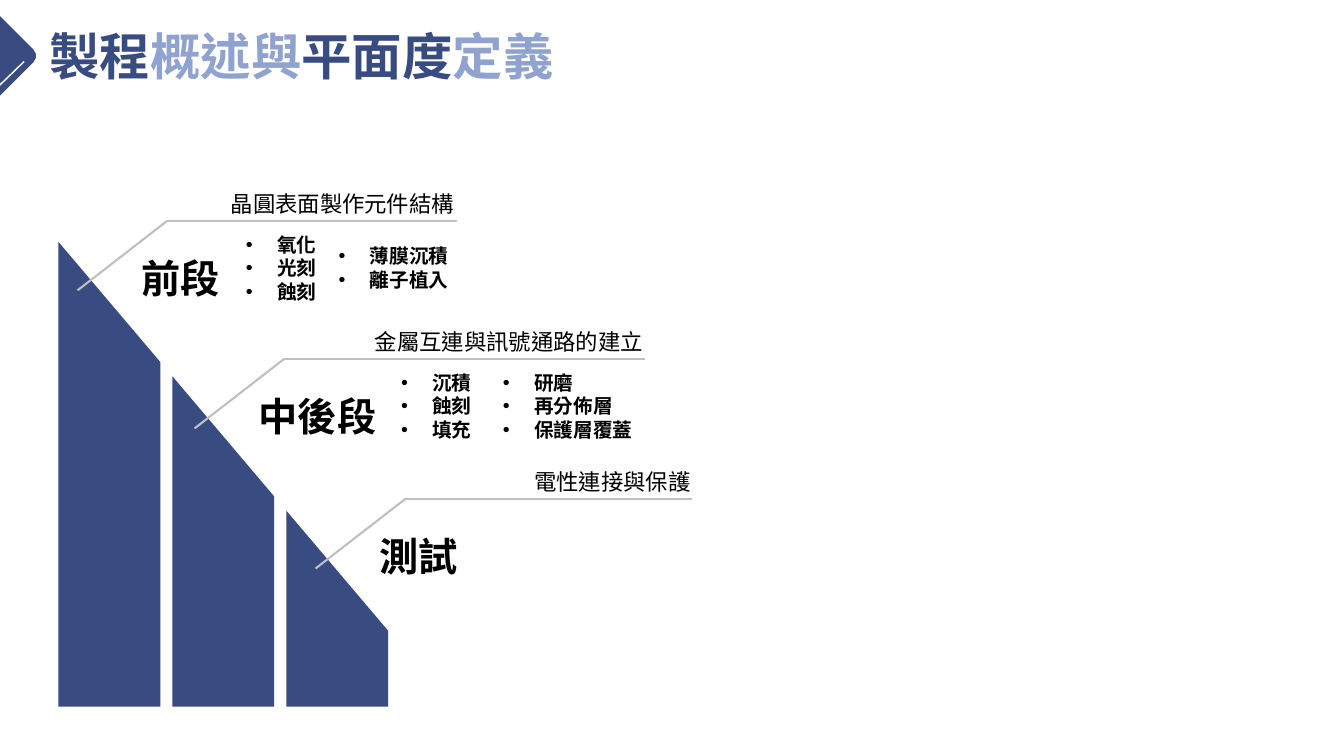
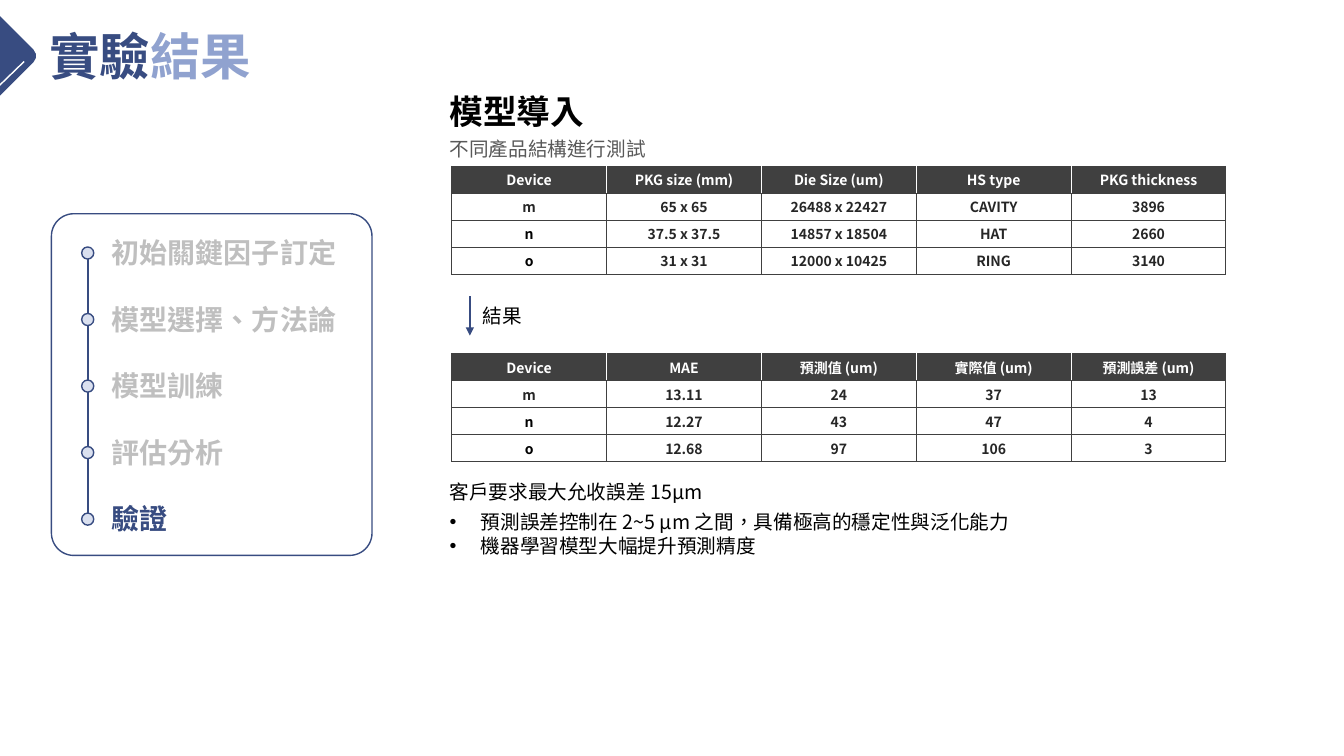
"""Build a two-slide deck on process stages and experiment results."""
from lxml.etree import SubElement
from pptx import Presentation
from pptx.dml.color import RGBColor
from pptx.enum.shapes import MSO_CONNECTOR, MSO_SHAPE
from pptx.enum.text import MSO_ANCHOR, MSO_AUTO_SIZE, PP_ALIGN
from pptx.oxml.ns import qn
from pptx.util import Inches, Pt

FONT = "Noto Sans CJK SC"
COLORS = {
    "navy": "384C81",
    "periwinkle": "90A2CF",
    "pale": "DAE0EF",
    "white": "FFFFFF",
    "black": "000000",
    "ink": "262626",
    "header": "404040",
    "gray": "595959",
    "silver": "BFBFBF",
}
FORMATS = {
    "title": {"size": Pt(36), "bold": True},
    "stage": {"size": Pt(28), "bold": True},
    "heading": {"size": Pt(24), "bold": True},
    "step": {"size": Pt(20), "bold": True},
    "caption": {"size": Pt(16), "bold": False},
    "body": {"size": Pt(14), "bold": False},
    "item": {"size": Pt(14), "bold": True},
    "cell": {"size": Pt(10), "bold": True},
}
FRAME = {
    "word_wrap": False,
    "auto_size": MSO_AUTO_SIZE.SHAPE_TO_FIT_TEXT,
    "vertical_anchor": MSO_ANCHOR.TOP,
}
CELL = {
    "vertical_anchor": MSO_ANCHOR.MIDDLE,
    "margin_top": Inches(0.03),
    "margin_bottom": Inches(0.03),
    "margin_left": Inches(0.05),
    "margin_right": Inches(0.05),
}


def apply(target, values):
    """Set every attribute in values on target."""
    for name, value in values.items():
        setattr(target, name, value)


def rgb(color):
    """Return the named colour."""
    return RGBColor.from_string(COLORS[color])


def add_span(para, text, style, color):
    """Add one formatted run to a paragraph."""
    span = para.add_run()
    span.text = text
    apply(span.font, {"name": FONT, **FORMATS[style]})
    span.font.color.rgb = rgb(color)
    properties = span.font._element
    properties.set("lang", "zh-TW")
    SubElement(properties, qn("a:ea"), typeface=FONT)


def add_bullet(para):
    """Give a paragraph a round bullet with a hanging indent."""
    properties = para._p.get_or_add_pPr()
    properties.set("marL", str(Inches(0.31)))
    properties.set("indent", str(Inches(-0.31)))
    SubElement(properties, qn("a:buFont"), typeface="Arial")
    SubElement(properties, qn("a:buChar"), char="•")


def add_text(page, left, top, width, height, lines, style, color="black",
             align=PP_ALIGN.LEFT, bullets=False):
    """Add a text box with one paragraph for each line."""
    box = page.shapes.add_textbox(Inches(left), Inches(top), Inches(width), Inches(height))
    frame = box.text_frame
    apply(frame, FRAME)
    for index, line in enumerate(lines):
        para = frame.add_paragraph() if index else frame.paragraphs[0]
        para.alignment = align
        if bullets:
            add_bullet(para)
        add_span(para, line, style, color)


def paint(shape, fill=None, line=None):
    """Set the fill and outline of a shape and drop its shadow."""
    shape.shadow.inherit = False
    if fill:
        shape.fill.solid()
        shape.fill.fore_color.rgb = rgb(fill)
    else:
        shape.fill.background()
    if line:
        shape.line.color.rgb = rgb(line)
        shape.line.width = Pt(1)
    else:
        shape.line.fill.background()


def add_shape(page, kind, left, top, width, height, fill=None, line=None):
    """Add a painted preset shape."""
    shape = page.shapes.add_shape(
        kind, Inches(left), Inches(top), Inches(width), Inches(height))
    paint(shape, fill, line)
    return shape


def add_line(page, start, end, color, width=1.5, arrow=False):
    """Add a straight line, with an arrowhead at its end if asked."""
    points = [Inches(value) for value in (*start, *end)]
    line = page.shapes.add_connector(MSO_CONNECTOR.STRAIGHT, *points)
    line.line.color.rgb = rgb(color)
    line.line.width = Pt(width)
    if arrow:
        SubElement(line.line._get_or_add_ln(), qn("a:tailEnd"), type="triangle")
    SubElement(line._element.spPr, qn("a:effectLst"))


def add_page(deck, width, title):
    """Add a slide with the corner mark and a two-tone title."""
    page = deck.slides.add_slide(deck.slide_layouts[5])
    box = page.shapes.title
    apply(box, {"left": Inches(0.39), "top": Inches(0.2),
                "width": Inches(width), "height": Inches(0.71)})
    apply(box.text_frame, FRAME)
    para = box.text_frame.paragraphs[0]
    para.alignment = PP_ALIGN.LEFT
    for index, text in enumerate(title):
        add_span(para, text, "title", "periwinkle" if index % 2 else "navy")
    mark = add_shape(page, MSO_SHAPE.ROUNDED_RECTANGLE, -0.56, 0.16, 0.79, 0.79, "navy")
    mark.rotation = 45
    mark.adjustments[0] = 0.11
    add_line(page, (0.24, 0.61), (-0.07, 0.91), "white", 1)
    return page


def add_bars(page, left, top, bottom, count=3):
    """Draw bars whose tops follow one falling slope."""
    width, pitch, slope = 1.01, 1.13, 1.18
    for index in range(count):
        start = index * pitch
        end = start + width
        outline = [(left + end, top + end * slope), (left + end, bottom), (left + start, bottom)]
        builder = page.shapes.build_freeform(
            Inches(left + start), Inches(top + start * slope))
        builder.add_line_segments([(Inches(x), Inches(y)) for x, y in outline])
        paint(builder.convert_to_shape(), "navy")


def add_stage(page, left, top, width, name, name_width, caption, caption_width, lists):
    """Draw a stage callout from the elbow of its leader line."""
    elbow, end = (left, top), (left + width, top)
    add_line(page, (left - 0.89, top + 0.69), elbow, "silver")
    add_line(page, elbow, end, "silver")
    add_text(page, end[0] + 0.11 - caption_width, top - 0.35, caption_width, 0.37,
             [caption], "caption")
    add_text(page, left - 0.36, top + 0.28, name_width, 0.57, [name], "stage",
             align=PP_ALIGN.CENTER)
    for offset, list_width, items in lists:
        height = 0.1 + 0.235 * len(items)
        add_text(page, left + offset, top + 0.47 - height / 2, list_width, height,
                 items, "item", bullets=True)


def add_steps(page, left, top, width, height, steps):
    """Draw a framed timeline with its last step highlighted."""
    pitch, dot = 0.66, 0.12
    center, first = left + 0.36, top + 0.39
    add_line(page, (center, first), (center, first + pitch * (len(steps) - 1)), "navy")
    for index, (text, text_width) in enumerate(steps):
        middle = first + index * pitch
        add_shape(page, MSO_SHAPE.FLOWCHART_CONNECTOR, center - dot / 2, middle - dot / 2,
                  dot, dot, "pale", "navy")
        color = "navy" if index == len(steps) - 1 else "silver"
        add_text(page, left + 0.5, middle - 0.22, text_width, 0.44, [text], "step", color)
    frame = add_shape(page, MSO_SHAPE.ROUNDED_RECTANGLE, left, top, width, height, line="navy")
    frame.adjustments[0] = 0.07


def add_borders(cell, colors):
    """Put left, right, top and bottom borders on a cell."""
    properties = cell._tc.get_or_add_tcPr()
    for index, (side, color) in enumerate(zip("LRTB", colors)):
        edge = SubElement(properties, qn(f"a:ln{side}"), w=str(Pt(0.75)))
        fill = SubElement(edge, qn("a:solidFill"))
        SubElement(fill, qn("a:srgbClr"), val=COLORS[color])
        properties.insert(index, edge)


def add_grid(page, left, top, width, height, rows):
    """Add a table with a dark header row."""
    last = len(rows[0]) - 1
    table = page.shapes.add_table(len(rows), last + 1, Inches(left), Inches(top),
                                  Inches(width), Inches(height)).table
    apply(table, {"first_row": False, "horz_banding": False})
    for row, values in enumerate(rows):
        for column, value in enumerate(values):
            cell = table.cell(row, column)
            apply(cell, CELL)
            color, sides = "ink", ["header"] * 4
            if row == 0:
                color = "white"
                cell.fill.solid()
                cell.fill.fore_color.rgb = rgb("header")
                sides[0] = "white" if column else "header"
                sides[1] = "white" if column < last else "header"
            else:
                cell.fill.background()
                if row > 1 and column == 0:
                    color = "black"
            add_borders(cell, sides)
            para = cell.text_frame.paragraphs[0]
            para.alignment = PP_ALIGN.CENTER
            add_span(para, value, "cell", color)


def build_process(deck):
    """Build the slide on process stages."""
    page = add_page(deck, 5.25, ["製程", "概述與", "平面度", "定義"])
    add_bars(page, 0.58, 2.4, 7.01)
    add_stage(page, 1.66, 2.19, 2.87, "前段", 0.99, "晶圓表面製作元件結構", 2.45, [
        (0.68, 0.91, ["氧化", "光刻", "蝕刻"]),
        (1.6, 1.3, ["薄膜沉積", "離子植入"]),
    ])
    add_stage(page, 2.82, 3.56, 3.58, "中後段", 1.38, "金屬互連與訊號通路的建立", 2.89, [
        (1.06, 0.91, ["沉積", "蝕刻", "填充"]),
        (2.07, 1.5, ["研磨", "再分佈層", "保護層覆蓋"]),
    ])
    add_stage(page, 4.02, 4.95, 2.84, "測試", 0.99, "電性連接與保護", 1.77, [])


def build_results(deck):
    """Build the slide on experiment results."""
    page = add_page(deck, 2.22, ["實驗", "結果"])
    add_steps(page, 0.51, 2.12, 3.18, 3.39, [
        ("初始關鍵因子訂定", 2.45),
        ("模型選擇、方法論", 2.45),
        ("模型訓練", 1.32),
        ("評估分析", 1.32),
        ("驗證", 0.76),
    ])
    left = 4.36
    add_text(page, left, 0.85, 1.55, 0.5, ["模型導入"], "heading")
    add_text(page, left, 1.31, 2.17, 0.34, ["不同產品結構進行測試"], "body", "gray")
    add_grid(page, 4.48, 1.65, 7.68, 1.07, [
        ["Device", "PKG size (mm)", "Die Size (um)", "HS type", "PKG thickness"],
        ["m", "65 x 65", "26488 x 22427", "CAVITY", "3896"],
        ["n", "37.5 x 37.5", "14857 x 18504", "HAT", "2660"],
        ["o", "31 x 31", "12000 x 10425", "RING", "3140"],
    ])
    add_line(page, (4.66, 2.94), (4.66, 3.33), "navy", arrow=True)
    add_text(page, 4.69, 2.97, 0.59, 0.34, ["結果"], "body")
    add_grid(page, 4.48, 3.51, 7.68, 1.07, [
        ["Device", "MAE", "預測值 (um)", "實際值 (um)", "預測誤差 (um)"],
        ["m", "13.11", "24", "37", "13"],
        ["n", "12.27", "43", "47", "4"],
        ["o", "12.68", "97", "106", "3"],
    ])
    add_text(page, left, 4.71, 2.82, 0.34, ["客戶要求最大允收誤差 15μm"], "body")
    add_text(page, left, 5.01, 5.89, 0.57, [
        "預測誤差控制在 2~5 μm 之間，具備極高的穩定性與泛化能力",
        "機器學習模型大幅提升預測精度",
    ], "body", bullets=True)


def main():
    """Build and save the deck."""
    deck = Presentation()
    apply(deck, {"slide_width": Inches(13.33), "slide_height": Inches(7.5)})
    build_process(deck)
    build_results(deck)
    deck.save("out.pptx")


if __name__ == "__main__":
    main()
